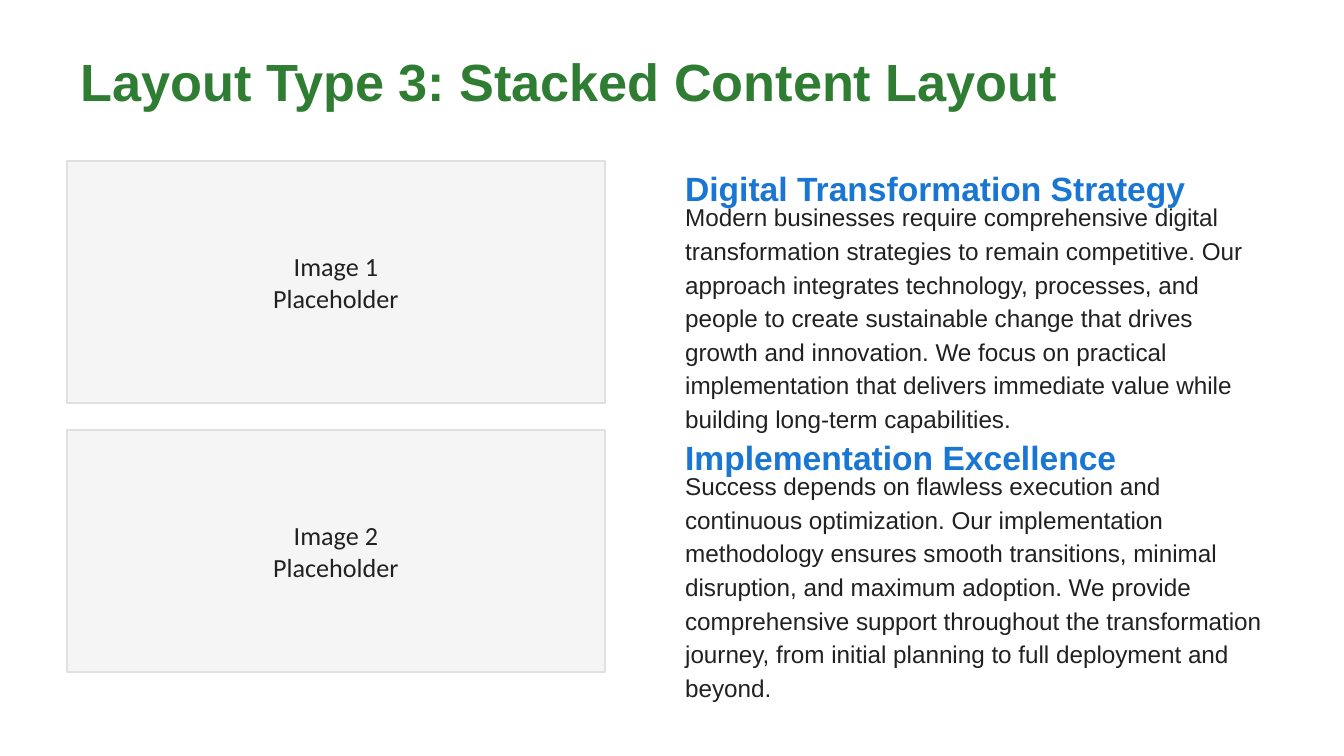
from pptx import Presentation
from pptx.dml.color import RGBColor
from pptx.enum.shapes import MSO_SHAPE
from pptx.enum.text import MSO_ANCHOR, MSO_AUTO_SIZE, PP_ALIGN
from pptx.util import Inches, Pt

GREEN = RGBColor(0x2E, 0x7D, 0x32)
BLUE = RGBColor(0x19, 0x76, 0xD2)
INK = RGBColor(0x21, 0x21, 0x21)
PANEL = RGBColor(0xF5, 0xF5, 0xF5)
BORDER = RGBColor(0xE0, 0xE0, 0xE0)

CELL = Inches(0.1)
ROW_TOP, ROW_STEP, ROW_HEIGHT = 12, 20, 18
IMAGE_LEFT, IMAGE_WIDTH = 5, 40
TEXT_LEFT, TEXT_WIDTH = 50, 45

SECTIONS = [
    (
        "Digital Transformation Strategy",
        "Modern businesses require comprehensive digital transformation "
        "strategies to remain competitive. Our approach integrates technology, "
        "processes, and people to create sustainable change that drives growth "
        "and innovation. We focus on practical implementation that delivers "
        "immediate value while building long-term capabilities.",
    ),
    (
        "Implementation Excellence",
        "Success depends on flawless execution and continuous optimization. "
        "Our implementation methodology ensures smooth transitions, minimal "
        "disruption, and maximum adoption. We provide comprehensive support "
        "throughout the transformation journey, from initial planning to full "
        "deployment and beyond.",
    ),
]


def grid(*cells):
    return [CELL * n for n in cells]


def write(sp, text, size, color, font="Arial", bold=False,
          align=PP_ALIGN.LEFT, spacing=None):
    tf = sp.text_frame
    tf.word_wrap = True
    tf.auto_size = MSO_AUTO_SIZE.NONE
    tf.vertical_anchor = MSO_ANCHOR.MIDDLE
    tf.text = text
    for p in tf.paragraphs:
        p.alignment = align
        p.line_spacing = spacing
        p.font.name = font
        p.font.size = Pt(size)
        p.font.bold = bold
        p.font.color.rgb = color


def add_text(s, box, text, size, color, **style):
    write(s.shapes.add_textbox(*grid(*box)), text, size, color, **style)


def add_title(s, box, text):
    sp = s.shapes.title
    sp.left, sp.top, sp.width, sp.height = grid(*box)
    write(sp, text, 28, GREEN, bold=True)


def add_image_panel(s, box, label):
    left, top, width, height = box
    sp = s.shapes.add_shape(MSO_SHAPE.RECTANGLE, *grid(*box))
    sp.shadow.inherit = False
    sp.fill.solid()
    sp.fill.fore_color.rgb = PANEL
    sp.line.color.rgb = BORDER
    sp.line.width = Pt(1)
    label_height = 4
    label_top = top + (height - label_height) // 2
    add_text(s, (left, label_top, width, label_height), label, 14, INK,
             font="Calibri", align=PP_ALIGN.CENTER)


def add_section(s, box, heading, body):
    left, top, width, height = box
    heading_height, body_offset = 4, 5
    add_text(s, (left, top, width, heading_height), heading, 18, BLUE, bold=True)
    add_text(s, (left, top + body_offset, width, height - body_offset),
             body, 13, INK, spacing=Pt(18))


def main():
    prs = Presentation()
    prs.slide_width = Inches(10)
    prs.slide_height = prs.slide_width * 9 // 16
    s = prs.slides.add_slide(prs.slide_layouts[5])
    add_title(s, (5, 3, 90, 6), "Layout Type 3: Stacked Content Layout")
    tops = [ROW_TOP + i * ROW_STEP for i in range(len(SECTIONS))]
    for number, top in enumerate(tops, 1):
        add_image_panel(s, (IMAGE_LEFT, top, IMAGE_WIDTH, ROW_HEIGHT),
                        f"Image {number}\nPlaceholder")
    for top, (heading, body) in zip(tops, SECTIONS):
        add_section(s, (TEXT_LEFT, top, TEXT_WIDTH, ROW_HEIGHT), heading, body)
    prs.save("out.pptx")


if __name__ == "__main__":
    main()
